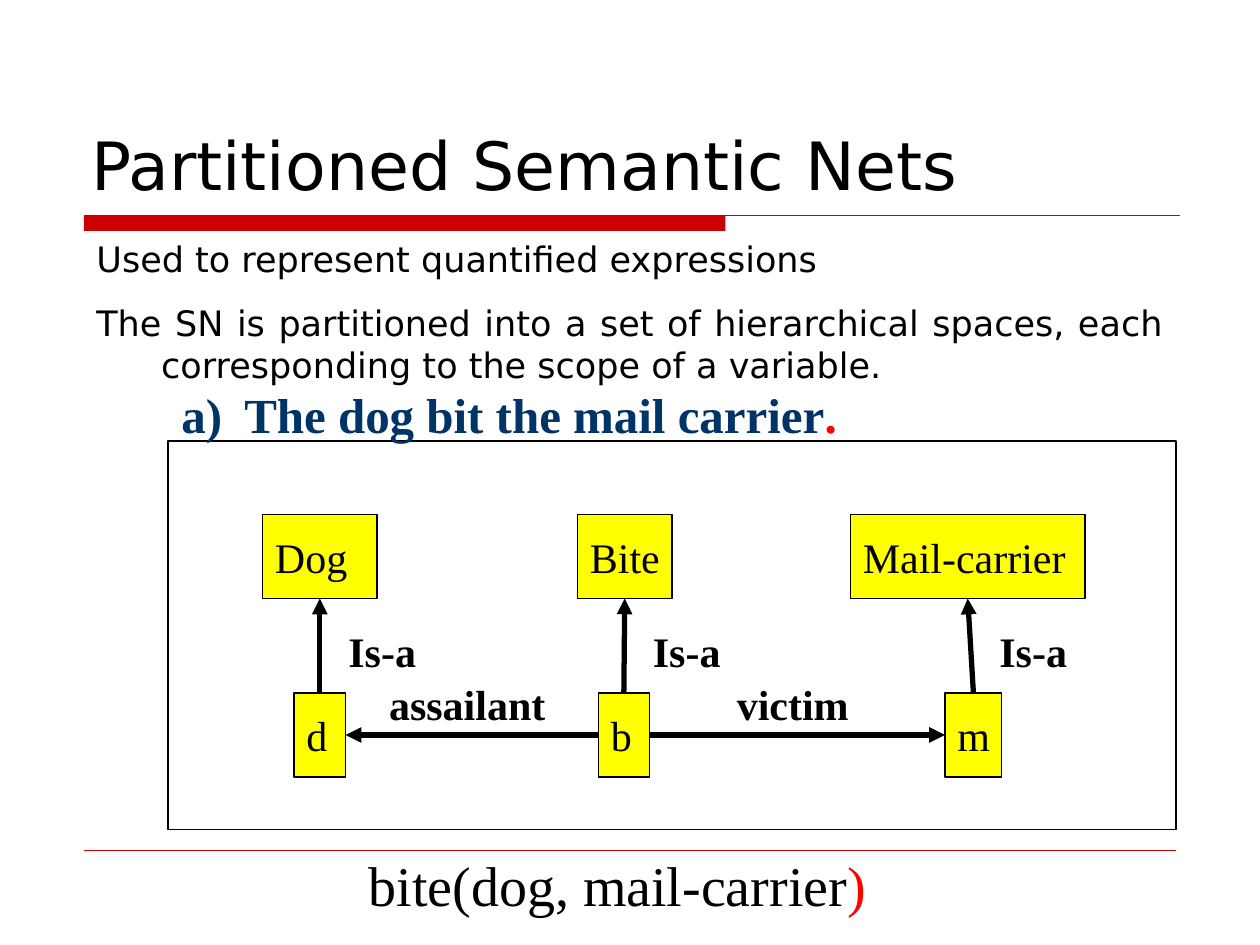
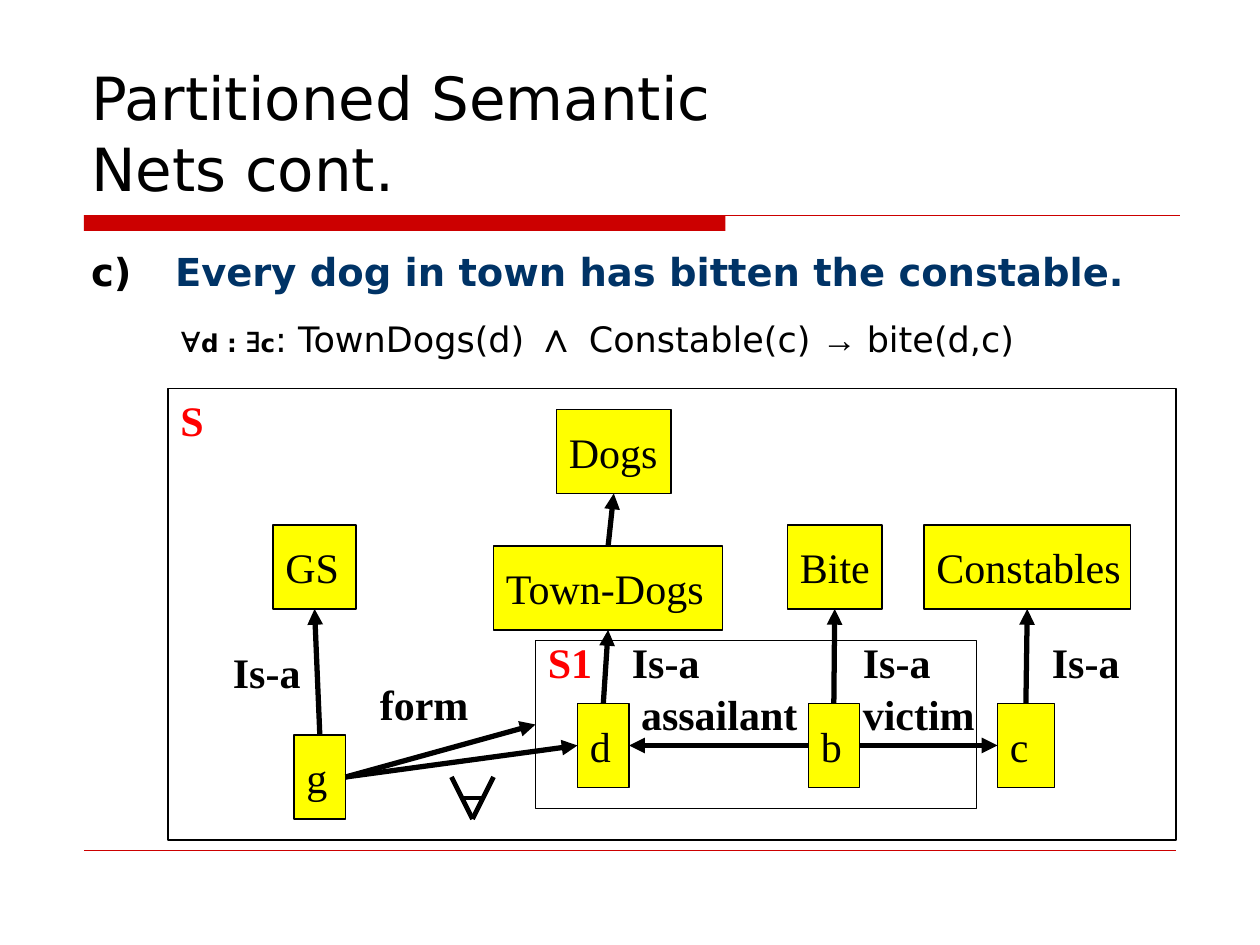
import pptx
import pptx.util
import pptx.dml.color
import pptx.enum.shapes
import pptx.enum.text
from dataclasses import dataclass
from lxml import etree

Pt = pptx.util.Pt
Align = pptx.enum.text.PP_ALIGN
Anchor = pptx.enum.text.MSO_ANCHOR
Kind = pptx.enum.shapes.MSO_SHAPE
Link = pptx.enum.shapes.MSO_CONNECTOR
TOP, LEFT, BASE, RIGHT = range(4)


@dataclass(frozen=True)
class Theme:
    ink: str = "000000"
    band: str = "CC0000"
    navy: str = "003366"
    red: str = "FF0000"
    node: str = "FFFF00"
    sans: str = "DejaVu Sans"
    serif: str = "Times New Roman"
    sign: str = "Arial"
    head: int = 38
    long: int = 34
    body: int = 20
    item: int = 22
    lead: int = 28
    fact: int = 32
    label: int = 24
    small: int = 14
    thin: float = 0.75
    hair: float = 0.25
    bold: float = 3
    stroke: float = 2.75
    tall: int = 48


T = Theme()


def tint(code):
    return pptx.dml.color.RGBColor.from_string(code)


def sub(node, tag, **attrs):
    name = pptx.oxml.ns.qn("a:" + tag)
    return etree.SubElement(node, name, attrs)


def style(font, face, size, color=T.ink, bold=False):
    font.name, font.size, font.bold = face, Pt(size), bold
    font.color.rgb = tint(color)


def frame(slide, box):
    text = slide.shapes.add_textbox(*map(Pt, box)).text_frame
    text.word_wrap = True
    return text


def write(slide, box, words, face, size, color=T.ink, bold=False, align=Align.LEFT):
    text = frame(slide, box)
    para = text.paragraphs[0]
    para.text = words
    para.alignment = align
    style(para.font, face, size, color, bold)
    return text


def hang(para, size):
    props = para._p.get_or_add_pPr()
    props.set("marL", str(Pt(size)))
    props.set("indent", str(-Pt(size)))
    return props


def count(para, size, color, start=1):
    props = hang(para, size)
    sub(sub(props, "buClr"), "srgbClr", val=color)
    sub(props, "buAutoNum", type="alphaLcParenR", startAt=str(start))


def rect(slide, box, fill=None):
    shape = slide.shapes.add_shape(Kind.RECTANGLE, *map(Pt, box))
    shape.shadow.inherit = False
    shape.line.color.rgb = tint(T.ink)
    shape.line.width = Pt(T.thin)
    if fill:
        shape.fill.solid()
        shape.fill.fore_color.rgb = tint(fill)
    else:
        shape.fill.background()
    return shape


def line(slide, ends, color, width):
    link = slide.shapes.add_connector(Link.STRAIGHT, *map(Pt, ends))
    link.line.color.rgb = tint(color)
    link.line.width = Pt(width)
    sub(link._element.spPr, "effectLst")
    return link


def arrow(slide, start, side, end, port):
    link = line(slide, (0, 0, 0, 0), T.ink, T.bold)
    link.begin_connect(start, side)
    link.end_connect(end, port)
    sub(link.line._get_or_add_ln(), "tailEnd", type="triangle")


def node(slide, box, name):
    shape = rect(slide, box, T.node)
    text = shape.text_frame
    text.word_wrap = True
    text.margin_right = 0
    text.vertical_anchor = Anchor.MIDDLE
    para = text.paragraphs[0]
    para.text = name
    para.alignment = Align.LEFT
    style(para.font, T.serif, T.label)
    return shape


def title(slide, box, words, size):
    text = write(slide, box, words, T.sans, size)
    text.vertical_anchor = Anchor.BOTTOM


def base(deck, words, size, width):
    slide = deck.slides.add_slide(deck.slide_layouts[6])
    band = rect(slide, (48, 123, 366.5, 9), T.band)
    band.line.fill.background()
    line(slide, (48, 123, 674.5, 123), T.band, T.thin)
    line(slide, (48, 486, 672, 486), T.band, T.hair)
    title(slide, (45, 24, width, 96), words, size)
    return slide


def net(slide, box, nodes, links, labels, space=None):
    left, top = box[:2]
    rect(slide, box)
    made = {}
    for name, (x, y, width) in nodes.items():
        made[name] = node(slide, (left + x, top + y, width, T.tall), name)
    if space:
        x, y, width, tall = space
        made["S1"] = rect(slide, (left + x, top + y, width, tall))
    for start, side, end, port in links:
        arrow(slide, made[start], side, made[end], port)
    for words, x, y in labels:
        color = T.red if words in ("S", "S1") else T.ink
        align = Align.CENTER if words == "assailant" else Align.LEFT
        write(slide, (left + x, top + y, 114, 36), words, T.serif, T.label, color, True, align)


def forall(slide, box):
    x, y, width, tall = box
    mid, foot = x + width / 2, y + tall
    bar = y + tall / 2
    for ends in (
        (x, y, mid, foot),
        (x + width, y, mid, foot),
        (x + width / 4, bar, x + width * 3 / 4, bar),
    ):
        line(slide, ends, T.ink, T.stroke)


def runs(para, parts):
    for words, *look in parts:
        run = para.add_run()
        run.text = words
        style(run.font, *look)


def intro(slide, box):
    text = frame(slide, box)
    points = (
        "Used to represent quantified expressions",
        "The SN is partitioned into a set of hierarchical spaces, "
        "each corresponding to the scope of a variable.",
    )
    for i, words in enumerate(points):
        para = text.add_paragraph() if i else text.paragraphs[0]
        para.text = words
        para.alignment = Align.JUSTIFY
        para.space_before = Pt(12.5 if i else 0)
        hang(para, 37)
        style(para.font, T.sans, T.body)


def lead(slide, box):
    para = frame(slide, box).paragraphs[0]
    count(para, 36, T.navy)
    runs(para, (
        ("The dog bit the mail carrier", T.serif, T.lead, T.navy, True),
        (".", T.serif, T.lead, T.red, True),
    ))


def fact(slide, box):
    para = frame(slide, box).paragraphs[0]
    runs(para, (
        ("bite(dog, mail-carrier", T.serif, T.fact),
        (")", T.serif, T.fact, T.red),
    ))


def claim(slide, box):
    words = "Every dog in town has bitten the constable."
    para = frame(slide, box).paragraphs[0]
    para.text = words
    count(para, 48, T.ink, 3)
    style(para.font, T.sans, T.item, T.navy, True)


def rule(slide, box):
    para = frame(slide, box).paragraphs[0]
    runs(para, (
        ("∀", T.sign, T.body),
        ("d : ", T.sans, T.small, T.ink, True),
        ("∃", T.sign, T.body),
        ("c", T.sans, T.small, T.ink, True),
        (": TownDogs(d) ", T.sans, T.body),
        ("∧", T.sign, T.label, T.ink, True),
        (" Constable(c) ", T.sans, T.body),
        ("→ ", T.sign, T.body),
        ("bite(d,c)", T.sans, T.body),
    ))


def first(deck):
    slide = base(deck, "Partitioned Semantic Nets", T.head, 630)
    nodes = {
        "Dog": (54, 42, 65.5), "Bite": (234, 42, 54), "Mail-carrier": (390, 42, 134),
        "d": (72, 144, 29.5), "b": (246, 144, 29), "m": (444, 144, 32.5),
    }
    links = [
        ("d", TOP, "Dog", BASE), ("b", TOP, "Bite", BASE), ("m", TOP, "Mail-carrier", BASE),
        ("b", LEFT, "d", RIGHT), ("b", RIGHT, "m", LEFT),
    ]
    labels = [("Is-a", x, 102) for x in (96, 270, 468)]
    labels += [("assailant", 114, 132), ("victim", 318, 132)]
    net(slide, (96, 252, 576, 222), nodes, links, labels)
    lead(slide, (96.5, 216, 400, 41))
    fact(slide, (203.5, 482.5, 320, 46))
    intro(slide, (48, 132, 624, 92))


def second(deck):
    slide = base(deck, "Partitioned Semantic \vNets cont.", T.long, 435)
    claim(slide, (45, 138, 630, 36))
    nodes = {
        "Dogs": (222, 12, 65.5), "Town-Dogs": (186, 90, 131), "GS": (60, 78, 47.5),
        "Bite": (354, 78, 54), "Constables": (432, 78, 118), "g": (72, 198, 29.5),
        "d": (234, 180, 29.5), "b": (366, 180, 29), "c": (474, 180, 32.5),
    }
    links = [
        ("Town-Dogs", TOP, "Dogs", BASE), ("d", TOP, "Town-Dogs", BASE),
        ("g", TOP, "GS", BASE), ("b", TOP, "Bite", BASE), ("c", TOP, "Constables", BASE),
        ("b", LEFT, "d", RIGHT), ("b", RIGHT, "c", LEFT),
        ("g", RIGHT, "d", LEFT), ("g", RIGHT, "S1", LEFT),
    ]
    labels = [("Is-a", x, 138) for x in (258, 390, 498)]
    labels += [
        ("Is-a", 30, 144), ("form", 114, 162), ("assailant", 258, 168),
        ("victim", 390, 168), ("S", 0, 0), ("S1", 210, 138),
    ]
    net(slide, (96, 222, 576, 258), nodes, links, labels, (210, 144, 252, 96))
    forall(slide, (258, 444, 24, 24))
    rule(slide, (96, 174, 570, 36))


def main():
    deck = pptx.Presentation()
    deck.slide_width, deck.slide_height = Pt(720), Pt(540)
    first(deck)
    second(deck)
    deck.save("out.pptx")


if __name__ == "__main__":
    main()
